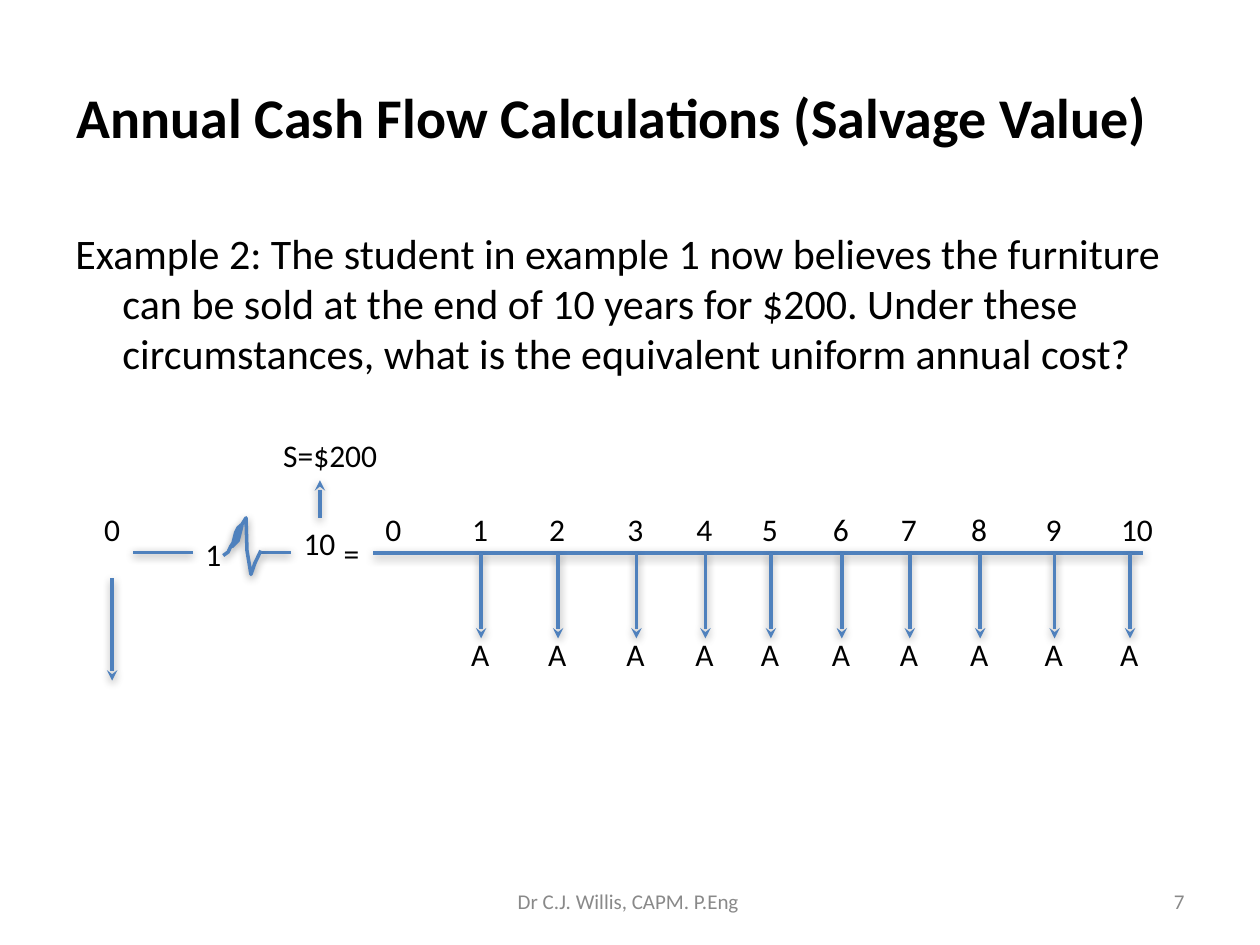
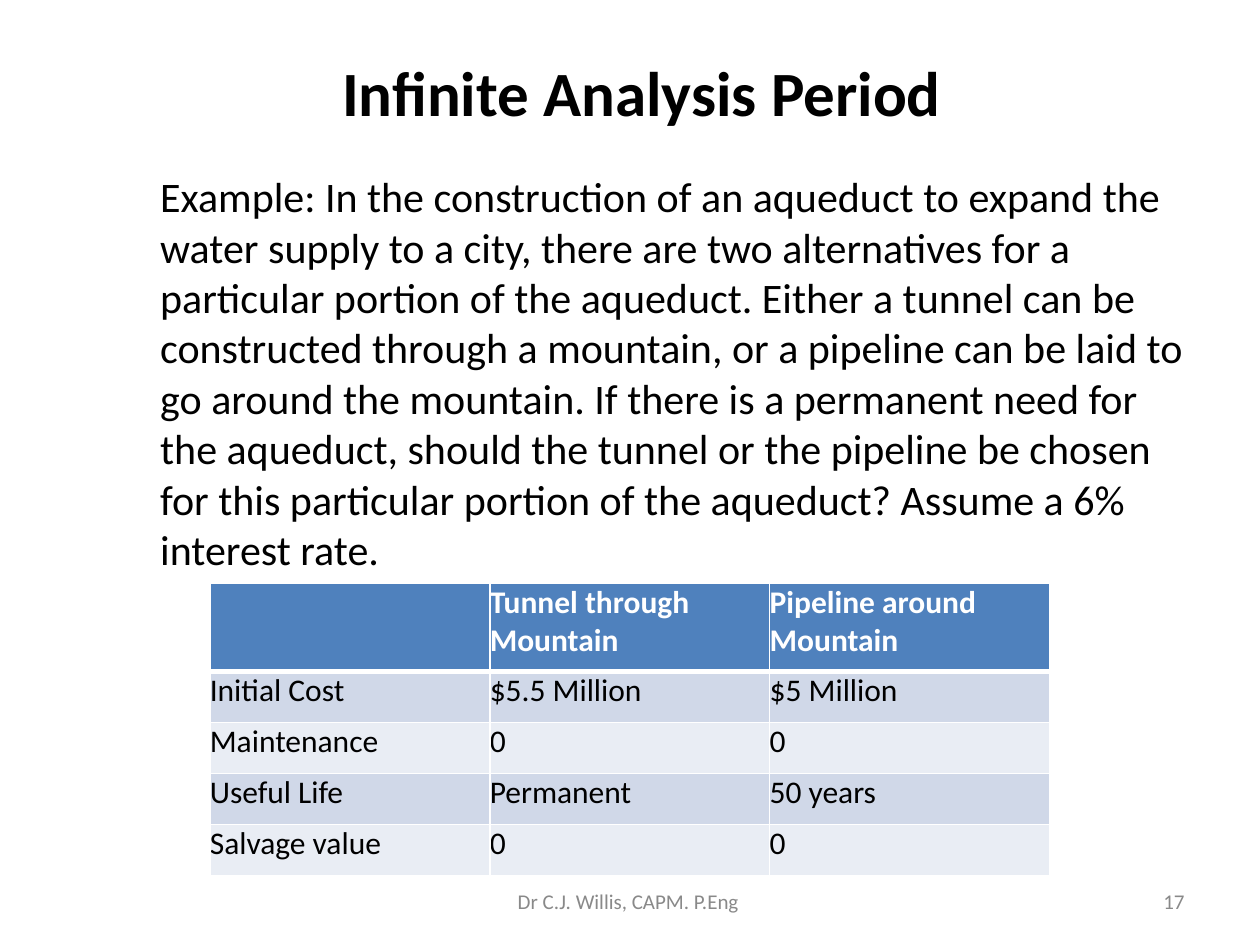
from dataclasses import dataclass
from lxml.etree import SubElement
from pptx import Presentation
from pptx.dml.color import RGBColor
from pptx.enum.shapes import MSO_CONNECTOR
from pptx.enum.text import MSO_ANCHOR, PP_ALIGN
from pptx.oxml.ns import qn
from pptx.util import Cm, Pt


@dataclass(frozen=True)
class Theme:
    font: str = "Calibri"
    ink: str = "000000"
    muted: str = "898989"
    accent: str = "4F81BD"
    white: str = "FFFFFF"
    bands: tuple = ("D0D8E8", "E9EDF4")
    body_size: int = 24
    label_size: int = 18
    footer_size: int = 12
    line_width: int = 2


@dataclass(frozen=True)
class Box:
    left: float
    top: float
    width: float
    height: float

    def inner(self, left, top, width, height):
        return Box(self.left + left, self.top + top, width, height)

    def lengths(self):
        return Cm(self.left), Cm(self.top), Cm(self.width), Cm(self.height)


THEME = Theme()
LABEL_HEIGHT = 1.02
YEAR_OFFSETS = (2.18, 3.73, 5.31, 6.7, 8.02, 9.45, 10.82, 12.24, 13.74, 15.26)
BREAK_OUTLINE = (
    (0, 0.76), (0.1, 0.69), (0.15, 0.58), (0.23, 0.46), (0.38, 0.15), (0.3, 0.46),
    (0.18, 0.58), (0.25, 0.3), (0.3, 0.2), (0.38, 0.13), (0.46, 0), (0.48, 0.66),
    (0.56, 1.14), (0.64, 0.91), (0.69, 0.81), (0.76, 0.66),
)
ALTERNATIVES = (
    ("", "Tunnel through Mountain", "Pipeline around Mountain"),
    ("Initial Cost", "$5.5 Million", "$5 Million"),
    ("Maintenance", "0", "0"),
    ("Useful Life", "Permanent", "50 years"),
    ("Salvage value", "0", "0"),
)


def style_paragraph(paragraph, size, color=THEME.ink, bold=False):
    for run in paragraph.runs:
        run.font.name = THEME.font
        run.font.size = Pt(size)
        run.font.bold = bold
        run.font.color.rgb = RGBColor.from_string(color)


def add_text(slide, box, words, size, color=THEME.ink, bold=False,
             align=PP_ALIGN.LEFT, anchor=MSO_ANCHOR.TOP, wrap=True):
    frame = slide.shapes.add_textbox(*box.lengths()).text_frame
    frame.word_wrap = wrap
    frame.vertical_anchor = anchor
    frame.text = words
    paragraph = frame.paragraphs[0]
    paragraph.alignment = align
    style_paragraph(paragraph, size, color, bold)
    return frame


def add_title(slide, box, words, size):
    add_text(slide, box, words, size, bold=True,
             align=PP_ALIGN.CENTER, anchor=MSO_ANCHOR.MIDDLE)


def add_body(slide, box, words, first_line, top_inset):
    frame = add_text(slide, box, words, THEME.body_size)
    frame.margin_top = Cm(top_inset)
    properties = frame.paragraphs[0]._p.get_or_add_pPr()
    properties.set("marL", str(Cm(0.95)))
    properties.set("indent", str(Cm(first_line)))


def add_footer(slide, number):
    for box, words, align in (
        (Box(18.2, 17.65, 5.93, 1.02), str(number), PP_ALIGN.RIGHT),
        (Box(8.69, 17.65, 8.05, 1.02), "Dr C.J. Willis, CAPM. P.Eng ", PP_ALIGN.CENTER),
    ):
        add_text(slide, box, words, THEME.footer_size, THEME.muted,
                 align=align, anchor=MSO_ANCHOR.MIDDLE)


def add_label(slide, box, left, top, words, width=0.84):
    add_text(slide, box.inner(left, top, width, LABEL_HEIGHT), words,
             THEME.label_size, wrap=False)


def style_stroke(stroke):
    stroke.line.color.rgb = RGBColor.from_string(THEME.accent)
    stroke.line.width = Pt(THEME.line_width)
    effects = SubElement(stroke._element.spPr, qn("a:effectLst"))
    shadow = SubElement(effects, qn("a:outerShdw"), blurRad=str(Pt(5)),
                        dist=str(Pt(1.6)), dir="5400000", rotWithShape="0")
    color = SubElement(shadow, qn("a:srgbClr"), val=THEME.ink)
    SubElement(color, qn("a:alpha"), val="38000")


def add_line(slide, box, start, end, arrow=False):
    ends = [Cm(value) for x, y in (start, end) for value in (box.left + x, box.top + y)]
    line = slide.shapes.add_connector(MSO_CONNECTOR.STRAIGHT, *ends)
    style_stroke(line)
    if arrow:
        SubElement(line._element.spPr.find(qn("a:ln")), qn("a:tailEnd"), type="stealth")


def add_break(slide, box, left, top):
    start, *rest = [(Cm(x), Cm(y)) for x, y in BREAK_OUTLINE]
    builder = slide.shapes.build_freeform(*start)
    builder.add_line_segments(rest, close=False)
    outline = builder.convert_to_shape(Cm(box.left + left), Cm(box.top + top))
    outline.fill.background()
    style_stroke(outline)


def add_salvage_diagram(slide, box):
    axis = 2.48
    add_line(slide, box, (0.84, axis), (2.04, axis))
    add_line(slide, box, (3.41, axis), (4.02, axis))
    add_line(slide, box, (0.41, 3), (0.41, box.height), arrow=True)
    add_line(slide, box, (4.6, 1.78), (4.6, 1.02), arrow=True)
    add_break(slide, box, 2.65, 1.78)
    add_label(slide, box, 0, 1.5, "0")
    add_label(slide, box, 2.04, 2.01, "1")
    add_label(slide, box, 4.02, 1.78, "10", 1.17)
    add_label(slide, box, 4.83, 1.98, "=")
    add_label(slide, box, 3.61, 0, "S=$200", 2.41)


def add_annual_diagram(slide, box):
    axis = 1
    add_label(slide, box, 0, 0, "0")
    add_line(slide, box, (0, axis), (box.width, axis))
    for year, offset in enumerate(YEAR_OFFSETS, 1):
        add_label(slide, box, offset - 0.43, 0, str(year), 0.84 if year < 10 else 1.17)
        add_line(slide, box, (offset, axis), (offset, 2.72), arrow=True)
        add_label(slide, box, offset - 0.45, box.height - LABEL_HEIGHT, "A", 0.89)


def style_cell(cell, row):
    header = row == 0
    cell.margin_left = cell.margin_right = cell.margin_top = cell.margin_bottom = 0
    widths = {"L": 1, "R": 1, "T": 3 if row == 1 else 1, "B": 3 if header else 1}
    for side, width in widths.items():
        border = SubElement(cell._tc.get_or_add_tcPr(), qn(f"a:ln{side}"), w=str(Pt(width)))
        SubElement(SubElement(border, qn("a:solidFill")), qn("a:srgbClr"), val=THEME.white)
    cell.fill.solid()
    fill = THEME.accent if header else THEME.bands[(row - 1) % 2]
    cell.fill.fore_color.rgb = RGBColor.from_string(fill)
    style_paragraph(cell.text_frame.paragraphs[0], THEME.label_size,
                    THEME.white if header else THEME.ink, header)


def add_alternatives(slide, box):
    table = slide.shapes.add_table(len(ALTERNATIVES), len(ALTERNATIVES[0]),
                                   *box.lengths()).table
    header_height = 1.78
    row_height = (box.height - header_height) / (len(ALTERNATIVES) - 1)
    for column in table.columns:
        column.width = Cm(box.width / len(ALTERNATIVES[0]))
    for row, entries in enumerate(ALTERNATIVES):
        table.rows[row].height = Cm(row_height if row else header_height)
        for column, entry in enumerate(entries):
            cell = table.cell(row, column)
            cell.text = entry
            style_cell(cell, row)


def build_salvage_slide(slide):
    add_title(slide, Box(0.56, 0.76, 23.57, 3.18),
              "Annual Cash Flow Calculations (Salvage Value)", 32)
    add_body(slide, Box(1.27, 4.45, 22.86, 3.53),
             "Example 2: The student in example 1 now believes the furniture can be sold "
             "at the end of 10 years for $200. Under these circumstances, what is the "
             "equivalent uniform annual cost?", first_line=-0.95, top_inset=0.13)
    add_salvage_diagram(slide, Box(1.85, 8.66, 5.67, 5.06))
    add_annual_diagram(slide, Box(7.52, 10.15, 15.52, 3.55))
    add_footer(slide, 7)


def build_infinite_slide(slide):
    add_title(slide, Box(2.03, 0.76, 22.1, 2.18), "Infinite Analysis Period ", 36)
    add_body(slide, Box(2.03, 2.95, 22.1, 14.07),
             "Example: In the construction of an aqueduct to expand the water supply to a "
             "city, there are two alternatives for a particular portion of the aqueduct. "
             "Either a tunnel can be constructed through a mountain, or a pipeline can be "
             "laid to go around the mountain. If there is a permanent need for the "
             "aqueduct, should the tunnel or the pipeline be chosen for this particular "
             "portion of the aqueduct? Assume a 6% interest rate.",
             first_line=0, top_inset=0.49)
    add_footer(slide, 17)
    add_alternatives(slide, Box(4.23, 11.76, 16.93, 5.89))


def main():
    deck = Presentation()
    deck.slide_width, deck.slide_height = Cm(25.4), Cm(19.05)
    for build in (build_salvage_slide, build_infinite_slide):
        build(deck.slides.add_slide(deck.slide_layouts[6]))
    deck.save("out.pptx")


if __name__ == "__main__":
    main()
